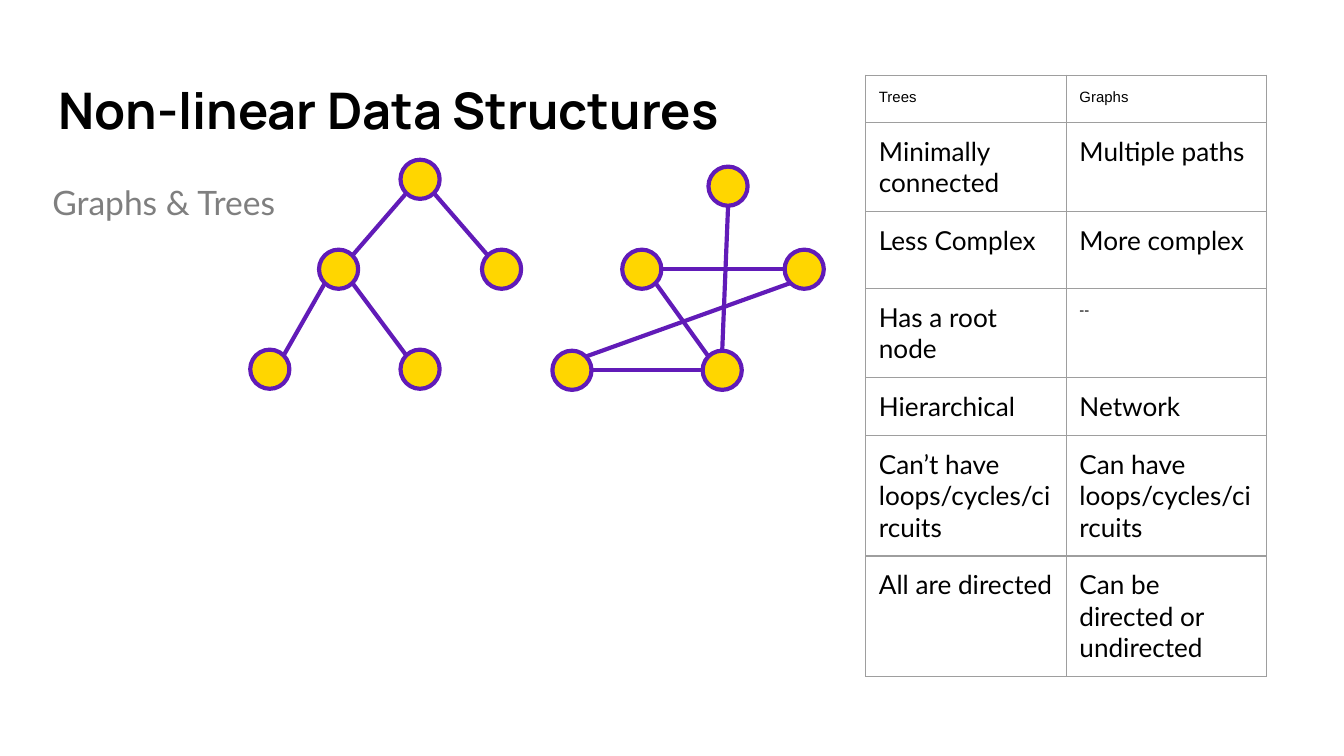
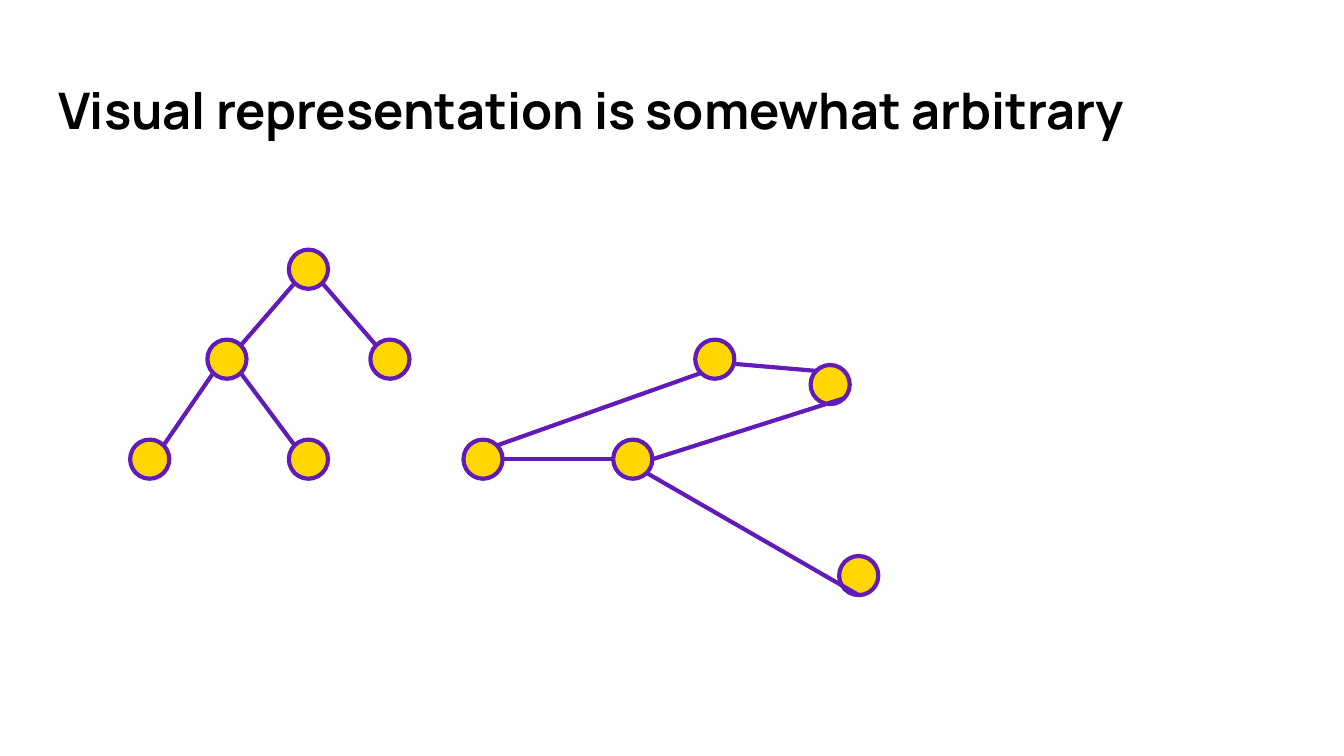
from lxml import etree
from pptx import Presentation
from pptx.dml.color import RGBColor
from pptx.enum.shapes import MSO_CONNECTOR, MSO_SHAPE
from pptx.enum.text import MSO_ANCHOR, MSO_AUTO_SIZE
from pptx.oxml.ns import qn
from pptx.util import Cm, Pt

STRAIGHT = MSO_CONNECTOR.STRAIGHT
OVAL = MSO_SHAPE.OVAL
TOP = MSO_ANCHOR.TOP
NO_AUTOFIT = MSO_AUTO_SIZE.NONE

COLORS = {
    "text": "000000",
    "subtitle": "7F7F7F",
    "node": "FFD600",
    "edge": "611BB8",
    "border": "9E9E9E",
}
TITLE_FONT, BODY_FONT, SMALL_FONT = "Manrope", "Lato", "Arial"
INSET = 0.25
NODE_SIZE = 0.74
EDGE_WIDTH = 2.25

# Where an edge meets a node, as fractions of the node's box
SITES = {
    "top": (0.5, 0),
    "top left": (0.15, 0.15),
    "top right": (0.85, 0.15),
    "left": (0, 0.5),
    "right": (1, 0.5),
    "lower right": (1, 0.62),
    "bottom": (0.5, 1),
    "bottom left": (0.15, 0.85),
    "bottom right": (0.85, 0.85),
}

COMPARISON = [
    ("Trees", "Graphs"),
    ("Minimally connected", "Multiple paths"),
    ("Less Complex", "More complex"),
    ("Has a root node", "--"),
    ("Hierarchical", "Network"),
    ("Can’t have loops/cycles/circuits", "Can have loops/cycles/circuits"),
    ("All are directed", "Can be directed or undirected"),
]
SMALL_ENTRIES = {"Trees", "Graphs", "--"}
ROW_HEIGHTS = [0.89, 1.09, 1.45, 1.09, 1.09, 2.03, 2.03]

CROSSED_NODES = {
    "apex": (2.95, 0),
    "west": (1.32, 1.57),
    "east": (4.39, 1.57),
    "southwest": (0, 3.48),
    "south": (2.84, 3.48),
}
CROSSED_EDGES = [
    ("east", "bottom left", "southwest", "top right"),
    ("south", "left", "southwest", "right"),
    ("east", "left", "west", "right"),
    ("south", "top", "apex", "bottom"),
    ("south", "top left", "west", "bottom right"),
]
LOOP_NODES = {
    "tail": (7.1, 4.09),
    "east": (6.56, 0.48),
    "north": (4.38, 0),
    "west": (0, 1.89),
    "hub": (2.83, 1.89),
}
LOOP_EDGES = [
    ("north", "bottom left", "west", "top right"),
    ("hub", "left", "west", "right"),
    ("east", "top left", "north", "lower right"),
    ("hub", "bottom right", "tail", "bottom"),
    ("hub", "right", "east", "bottom right"),
]


def rgb(name):
    return RGBColor.from_string(COLORS[name])


def add_run(paragraph, text, font, size, color="text", bold=False):
    run = paragraph.add_run()
    run.text = text
    run.font.name = font
    run.font.size = Pt(size)
    run.font.bold = bold
    run.font.color.rgb = rgb(color)


def add_text_area(slide, left, top, width, height):
    """Add a wrapping text box and return its first paragraph."""
    frame = slide.shapes.add_textbox(Cm(left), Cm(top), Cm(width), Cm(height)).text_frame
    frame.word_wrap = True
    frame.auto_size = NO_AUTOFIT
    frame.vertical_anchor = TOP
    frame.margin_left = frame.margin_right = Cm(INSET)
    frame.margin_top = frame.margin_bottom = Cm(INSET)
    return frame.paragraphs[0]


def add_title(slide, text):
    add_run(add_text_area(slide, 0.86, 1.24, 23.67, 1.73), text, TITLE_FONT, 27, bold=True)


def add_subtitle(slide, text):
    paragraph = add_text_area(slide, 0.74, 3.07, 23.67, 9.5)
    paragraph.line_spacing = 1.15
    paragraph.space_after = Pt(12)
    add_run(paragraph, text, BODY_FONT, 18, "subtitle")


def add_network(slide, left, top, nodes, edges):
    """Draw grouped nodes and edges; node offsets are relative to left and top."""
    shapes = slide.shapes.add_group_shape().shapes
    for x, y in nodes.values():
        node = shapes.add_shape(OVAL, Cm(left + x), Cm(top + y), Cm(NODE_SIZE), Cm(NODE_SIZE))
        node.shadow.inherit = False
        node.fill.solid()
        node.fill.fore_color.rgb = rgb("node")
        node.line.color.rgb = rgb("edge")
        node.line.width = Pt(EDGE_WIDTH)

    def site_position(name, site):
        x, y = nodes[name]
        across, down = SITES[site]
        return Cm(left + x + across * NODE_SIZE), Cm(top + y + down * NODE_SIZE)

    for start, start_site, end, end_site in edges:
        edge = shapes.add_connector(
            STRAIGHT, *site_position(start, start_site), *site_position(end, end_site))
        edge.line.color.rgb = rgb("edge")
        edge.line.width = Pt(EDGE_WIDTH)
        etree.SubElement(edge._element.spPr, qn("a:effectLst"))


def add_tree(slide, left, top, root_x):
    """Draw a five-node binary tree whose root is root_x right of its lowest left leaf."""
    child_reach, child_y, leaf_y = 1.54, 1.7, 3.59
    nodes = {
        "root": (root_x, 0),
        "left child": (root_x - child_reach, child_y),
        "right child": (root_x + child_reach, child_y),
        "left leaf": (0, leaf_y),
        "right leaf": (root_x, leaf_y),
    }
    edges = [
        ("root", "bottom left", "left child", "top right"),
        ("left child", "bottom left", "left leaf", "top right"),
        ("left child", "bottom right", "right leaf", "top left"),
        ("root", "bottom right", "right child", "top left"),
    ]
    add_network(slide, left, top, nodes, edges)


def set_cell_borders(cell):
    properties = cell._tc.get_or_add_tcPr()
    for position, side in enumerate(("a:lnL", "a:lnR", "a:lnT", "a:lnB")):
        border = etree.Element(qn(side), w=str(Pt(0.75)))
        fill = etree.SubElement(border, qn("a:solidFill"))
        etree.SubElement(fill, qn("a:srgbClr"), val=COLORS["border"])
        properties.insert(position, border)


def add_comparison_table(slide, left, top, width, height):
    frame = slide.shapes.add_table(
        len(COMPARISON), 2, Cm(left), Cm(top), Cm(width), Cm(height))
    table = frame.table
    table.first_row = table.horz_banding = False
    for row, row_height, entries in zip(table.rows, ROW_HEIGHTS, COMPARISON):
        row.height = Cm(row_height)
        for cell, entry in zip(row.cells, entries):
            cell.margin_left = cell.margin_right = Cm(INSET)
            cell.margin_top = cell.margin_bottom = Cm(INSET)
            cell.fill.background()
            set_cell_borders(cell)
            font, size = (SMALL_FONT, 8) if entry in SMALL_ENTRIES else (BODY_FONT, 14)
            add_run(cell.text_frame.paragraphs[0], entry, font, size)
    frame.height = Cm(height)


def build_comparison_slide(slide):
    add_title(slide, "Non-linear Data Structures")
    add_subtitle(slide, "Graphs & Trees")
    add_tree(slide, 4.73, 3.02, root_x=2.84)
    add_network(slide, 10.44, 3.15, CROSSED_NODES, CROSSED_EDGES)
    add_comparison_table(slide, 16.36, 1.42, 7.58, 10.87)


def build_representation_slide(slide):
    add_title(slide, "Visual representation is somewhat arbitrary")
    add_tree(slide, 2.46, 4.72, root_x=3)
    add_network(slide, 8.76, 6.42, LOOP_NODES, LOOP_EDGES)


def main():
    deck = Presentation()
    deck.slide_width, deck.slide_height = Cm(25.4), Cm(14.29)
    blank = deck.slide_layouts[6]
    for build in (build_comparison_slide, build_representation_slide):
        build(deck.slides.add_slide(blank))
    deck.save("out.pptx")


if __name__ == "__main__":
    main()
